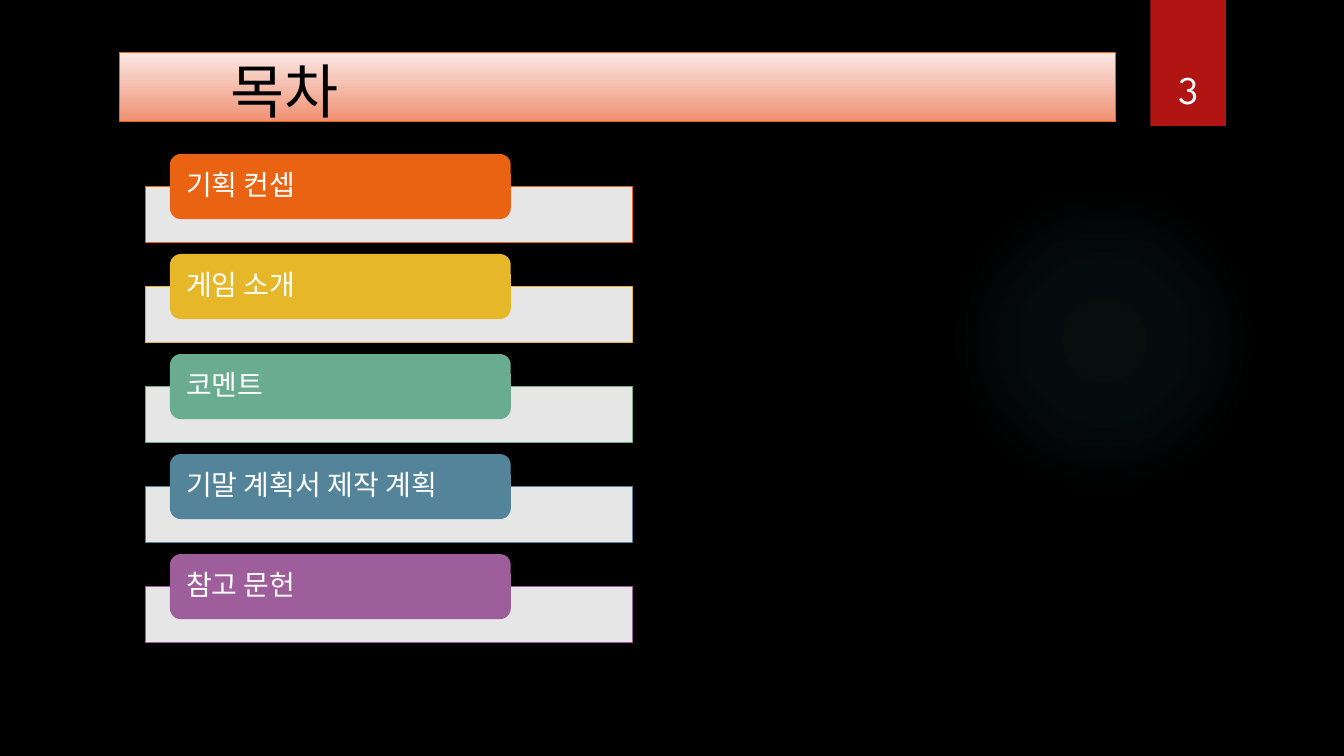
import pptx
import pptx.dml.color
import pptx.enum.shapes
import pptx.enum.text
import pptx.oxml
import pptx.oxml.ns
import pptx.util

Pt = pptx.util.Pt
SHAPE = pptx.enum.shapes.MSO_SHAPE
ALIGN = pptx.enum.text.PP_ALIGN
ANCHOR = pptx.enum.text.MSO_ANCHOR
KOREAN = "Noto Sans CJK KR"

CHAPTERS = [
    ("기획 컨셉", "EA6312"),
    ("게임 소개", "E6B729"),
    ("코멘트", "6AAC90"),
    ("기말 계획서 제작 계획", "54849A"),
    ("참고 문헌", "9E5E9B"),
]


def color(value):
    return pptx.dml.color.RGBColor.from_string(value)


def set_line(sp, value):
    if value:
        sp.line.color.rgb = color(value)
        sp.line.width = Pt(0.75)
    else:
        sp.line.fill.background()


def add_box(shapes, kind, box, fill, line=None):
    sp = shapes.add_shape(kind, *map(Pt, box))
    sp.shadow.inherit = False
    sp.fill.solid()
    sp.fill.fore_color.rgb = color(fill)
    set_line(sp, line)
    return sp


def set_gradient(sp, stops, direction):
    """Replace a solid fill by (position, colour, opacity) stops, in percent."""
    marks = "".join(
        f'<a:gs pos="{pos * 1000}"><a:srgbClr val="{value}">'
        f'<a:alpha val="{opacity * 1000}"/></a:srgbClr></a:gs>'
        for pos, value, opacity in stops)
    sp.fill.solid()
    solid = sp._element.spPr.find(pptx.oxml.ns.qn("a:solidFill"))
    solid.getparent().replace(solid, pptx.oxml.parse_xml(
        f'<a:gradFill {pptx.oxml.ns.nsdecls("a")}>'
        f'<a:gsLst>{marks}</a:gsLst>{direction}</a:gradFill>'))


def set_opacity(sp, percent):
    clr = sp._element.spPr.find(".//" + pptx.oxml.ns.qn("a:srgbClr"))
    clr.append(pptx.oxml.parse_xml(
        f'<a:alpha {pptx.oxml.ns.nsdecls("a")} val="{percent * 1000}"/>'))


def set_text(sp, text, size, font, value, align, anchor, insets):
    tf = sp.text_frame
    tf.word_wrap = True
    tf.auto_size = pptx.enum.text.MSO_AUTO_SIZE.NONE
    tf.vertical_anchor = anchor
    tf.margin_left, tf.margin_top, tf.margin_right, tf.margin_bottom = map(Pt, insets)
    p = tf.paragraphs[0]
    p.text = text
    p.alignment = align
    p.font.size = Pt(size)
    p.font.name = font
    p.font.color.rgb = color(value)
    latin = p._p.pPr.find(".//" + pptx.oxml.ns.qn("a:latin"))
    latin.addnext(pptx.oxml.parse_xml(
        f'<a:ea {pptx.oxml.ns.nsdecls("a")} typeface="{font}"/>'))
    return p


def add_glow(slide, box):
    sp = add_box(slide.shapes, SHAPE.OVAL, box, "50B9C1")
    stops = [(0, "50B9C1", 7), (36, "50B9C1", 6), (69, "50B9C1", 0)]
    set_gradient(sp, stops, '<a:path path="circle"><a:fillToRect l="50000" '
                            't="50000" r="50000" b="50000"/></a:path>')


def add_title(slide, box):
    sp = slide.shapes.title
    sp.left, sp.top, sp.width, sp.height = map(Pt, box)
    set_gradient(sp, [(0, "FBE8E4", 100), (100, "EF9173", 100)],
                 '<a:lin ang="5400000" scaled="0"/>')
    set_line(sp, "EA6312")
    set_text(sp, "목차", 42, KOREAN, "000000", ALIGN.LEFT, ANCHOR.MIDDLE, (79, 4, 7, 0))


def add_page_number(slide, box, number):
    left, top, width, height = box
    add_box(slide.shapes, SHAPE.RECTANGLE, box, "B01513")
    sp = slide.shapes.add_textbox(Pt(left - 6), Pt(top + 23), Pt(width + 12), Pt(60.5))
    set_text(sp, number, 28, "League Spartan", "FFFFFF", ALIGN.CENTER, ANCHOR.BOTTOM,
             (7.2, 3.6, 7.2, 3.6))


def add_contents(slide, box, pitch):
    left, top, width, tab_height = box
    shapes = slide.shapes.add_group_shape().shapes
    for i, (chapter, accent) in enumerate(CHAPTERS):
        y = top + i * pitch
        bar = add_box(shapes, SHAPE.RECTANGLE, (left, y + tab_height / 2, width, 39.7),
                      "FFFFFF", accent)
        set_opacity(bar, 90)
        tab = add_box(shapes, SHAPE.ROUNDED_RECTANGLE,
                      (left + width * 0.05, y, width * 0.7, tab_height), accent)
        p = set_text(tab, chapter, 20, KOREAN, "FFFFFF", ALIGN.LEFT, ANCHOR.MIDDLE,
                     (9.2, 0, 9.2, 0))
        p.line_spacing = 0.9


def main():
    prs = pptx.Presentation()
    prs.slide_width, prs.slide_height = Pt(960), Pt(540)
    slide = prs.slides.add_slide(prs.slide_layouts.get_by_name("Title Only"))
    slide.background.fill.solid()
    slide.background.fill.fore_color.rgb = color("000000")
    add_glow(slide, (677.5, 131.8, 221.8, 221.8))
    add_title(slide, (85.5, 37.2, 711.5, 49.7))
    add_page_number(slide, (821.7, 0, 54, 90), "3")
    add_contents(slide, (104, 110, 347.8, 46.5), 71.45)
    prs.save("out.pptx")


if __name__ == "__main__":
    main()
